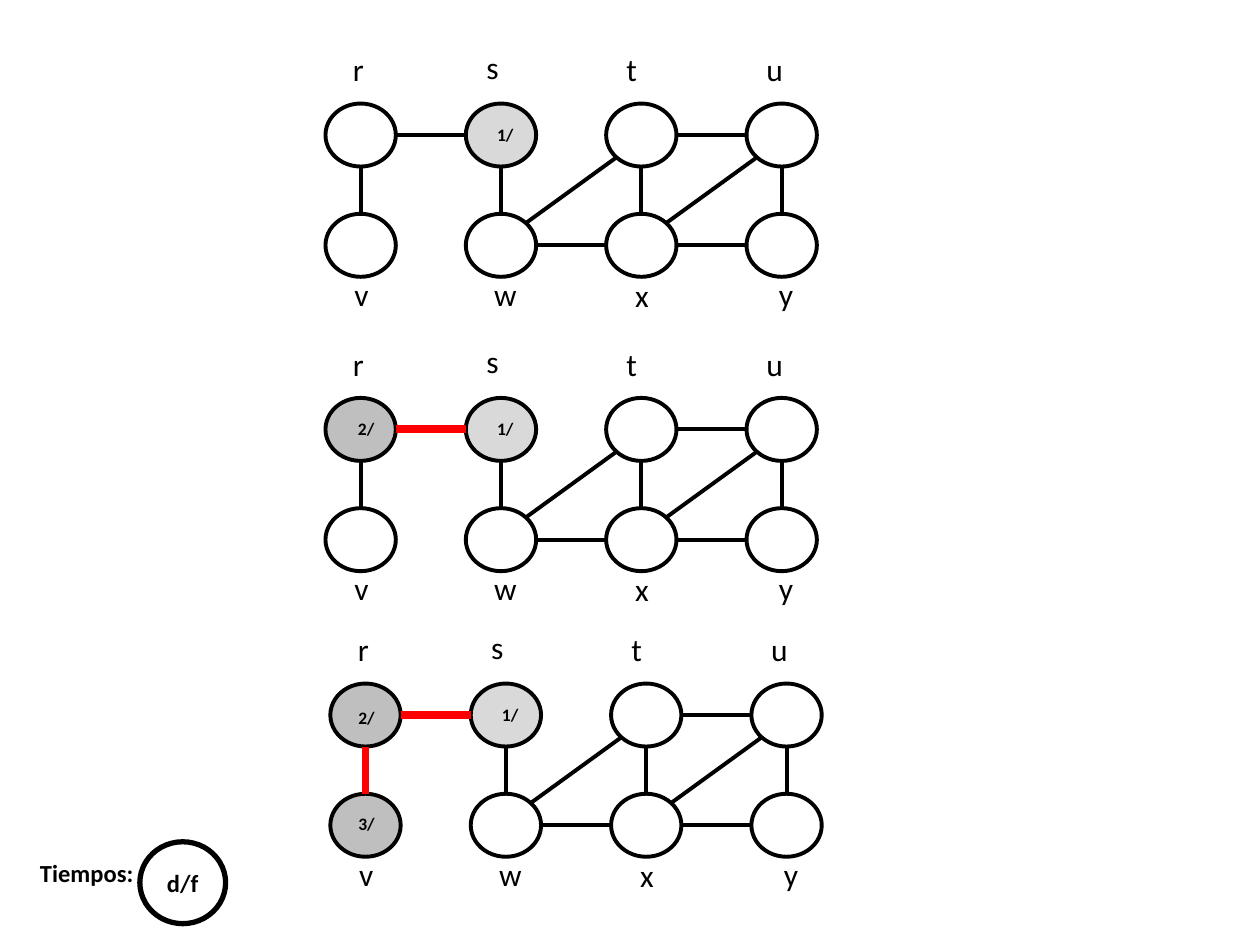
"""Build a slide with three stages of a depth-first search on one graph."""
from math import hypot

from lxml import etree
from pptx import Presentation
from pptx.dml.color import RGBColor
from pptx.enum.shapes import MSO_CONNECTOR, MSO_SHAPE
from pptx.enum.text import MSO_ANCHOR, MSO_AUTO_SIZE, PP_ALIGN
from pptx.oxml.ns import qn
from pptx.util import Pt

OVAL, STRAIGHT = MSO_SHAPE.OVAL, MSO_CONNECTOR.STRAIGHT
LEFT, CENTER, MIDDLE = PP_ALIGN.LEFT, PP_ALIGN.CENTER, MSO_ANCHOR.MIDDLE
GROW = MSO_AUTO_SIZE.SHAPE_TO_FIT_TEXT

THEME = {
    "font": "Calibri", "ink": "000000", "path": "FF0000", "paper": "FFFFFF",
    "start": "D9D9D9", "visited": "BFBFBF",
    "label": 18, "time": 10, "legend": 14,
    "edge": 2.25, "path_edge": 4.5, "legend_line": 3,
}

NODES = {"r": (0, 0), "s": (1, 0), "v": (0, 1), "w": (1, 1),
         "t": (2, 0), "u": (3, 0), "x": (2, 1), "y": (3, 1)}
EDGES = ["rv", "rs", "sw", "wt", "wx", "tx", "tu", "ux", "uy", "yx"]
LABELS = {"r": (8.6, -34), "s": (84.8, -35.2), "t": (164.9, -34), "u": (244.8, -34),
          "v": (9.4, 94.4), "w": (89.3, 94.4), "x": (169.9, 95), "y": (252, 94.4)}
START_TIME = ("1/", 67.7, 8)
STAGES = [
    {"origin": (186, 59.2), "fills": {"s": "start"}, "path": [],
     "times": [START_TIME]},
    {"origin": (186, 227.4), "fills": {"s": "start", "r": "visited"}, "path": ["rs"],
     "times": [START_TIME, ("2/", -11.8, 8)]},
    {"origin": (188.8, 390.6), "fills": {"s": "start", "r": "visited", "v": "visited"},
     "path": ["rs", "rv"],
     "times": [START_TIME, ("2/", -14.4, 10), ("3/", -14.4, 70.4)]},
]
NODE_W, NODE_H = 40.2, 36
STEP_X, STEP_Y = 80.2, 63


def rgb(name):
    return RGBColor.from_string(THEME[name])


def write(shape, text, size, bold=False, align=LEFT, **frame):
    tf = shape.text_frame
    for key, value in {"word_wrap": True, **frame}.items():
        setattr(tf, key, value)
    p = tf.paragraphs[0]
    p.alignment = align
    r = p.add_run()
    r.text = text
    for key, value in {"name": THEME["font"], "size": Pt(THEME[size]), "bold": bold}.items():
        setattr(r.font, key, value)
    r.font.color.rgb = rgb("ink")


def add_text(shapes, box, text, size, **style):
    write(shapes.add_textbox(*map(Pt, box)), text, size, auto_size=GROW, **style)


def add_oval(shapes, box, fill=None, width="edge"):
    sp = shapes.add_shape(OVAL, *map(Pt, box))
    sp.shadow.inherit = False
    if fill:
        sp.fill.solid()
        sp.fill.fore_color.rgb = rgb(fill)
    else:
        sp.fill.background()
    sp.line.color.rgb = rgb("ink")
    sp.line.width = Pt(THEME[width])
    return sp


def add_edge(shapes, origin, edge, on_path):
    (c1, r1), (c2, r2) = (NODES[n] for n in edge)
    length = hypot(c2 - c1, r2 - r1)
    ends = []
    for col, row, sign in ((c1, r1, 1), (c2, r2, -1)):
        ends.append(origin[0] + col * STEP_X + NODE_W / 2 * (1 + sign * (c2 - c1) / length))
        ends.append(origin[1] + row * STEP_Y + NODE_H / 2 * (1 + sign * (r2 - r1) / length))
    line = shapes.add_connector(STRAIGHT, *map(Pt, ends))
    line.line.color.rgb = rgb("path" if on_path else "ink")
    line.line.width = Pt(THEME["path_edge" if on_path else "edge"])
    etree.SubElement(line._element.spPr, qn("a:effectLst"))


def add_stage(s, stage):
    shapes = s.shapes.add_group_shape().shapes
    x, y = stage["origin"]
    for name, (col, row) in NODES.items():
        box = (x + col * STEP_X, y + row * STEP_Y, NODE_W, NODE_H)
        add_oval(shapes, box, stage["fills"].get(name))
    for edge in EDGES:
        add_edge(shapes, (x, y), edge, edge in stage["path"])
    for name, (dx, dy) in LABELS.items():
        add_text(shapes, (x + dx, y + dy, 43 if name in "wxy" else 40, 44), name, "label")
    for text, dx, dy in stage["times"]:
        add_text(shapes, (x + dx, y + dy, 70, 19.4), text, "time", bold=True, align=CENTER)


def main():
    prs = Presentation()
    prs.slide_width, prs.slide_height = Pt(720), Pt(540)
    s = prs.slides.add_slide(prs.slide_layouts[6])
    for stage in STAGES:
        add_stage(s, stage)
    add_text(s.shapes, (15.8, 486.7, 88, 24.5), "Tiempos:", "legend", bold=True)
    legend = add_oval(s.shapes, (79.9, 481, 49, 46.8), "paper", "legend_line")
    write(legend, "d/f", "legend", bold=True, align=CENTER, vertical_anchor=MIDDLE)
    prs.save("out.pptx")


if __name__ == "__main__":
    main()
